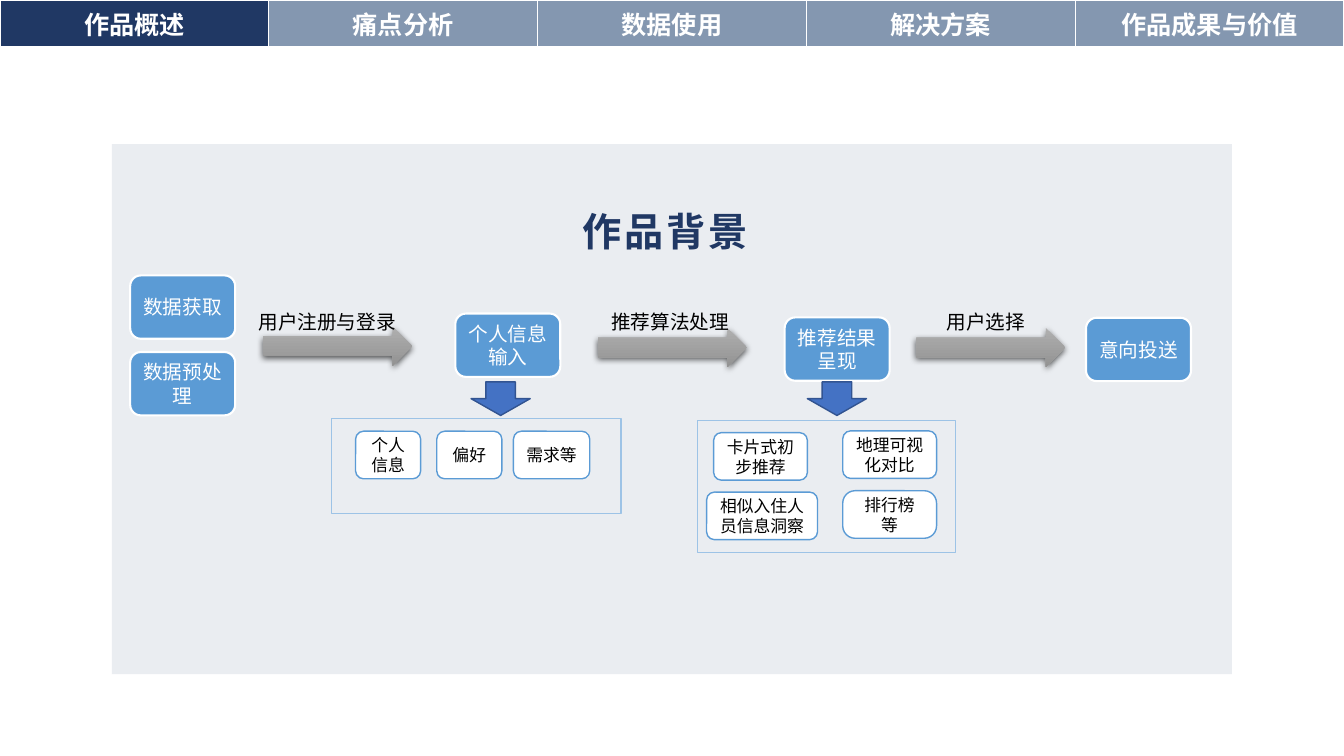
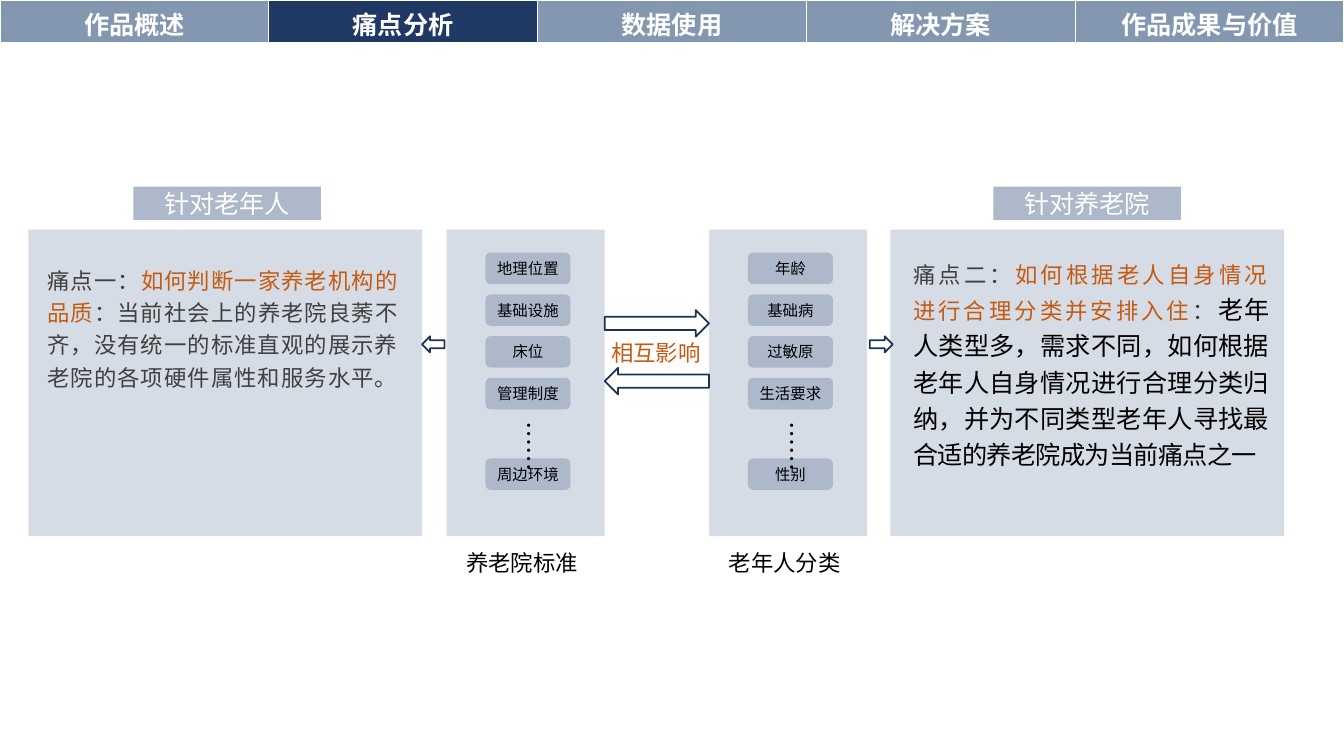
from lxml.etree import SubElement
from pptx import Presentation
from pptx.dml.color import RGBColor
from pptx.enum.shapes import MSO_SHAPE
from pptx.enum.text import MSO_ANCHOR, PP_ALIGN
from pptx.oxml.ns import qn
from pptx.util import Pt

FONT = "Noto Sans CJK SC"
COLORS = {name: RGBColor.from_string(value) for name, value in {
    "white": "FFFFFF", "black": "000000", "navy": "203864", "tab": "8497B0",
    "panel": "D6DCE5", "tag": "ADB9CA", "step": "5B9BD5", "frame": "9DC3E6",
    "down": "4472C4", "down_edge": "325491", "outline": "1E3256",
    "gray_top": "AFAFAF", "gray_bottom": "939393",
    "text": "404040", "accent": "C55A11",
}.items()}
SECTIONS = ["作品概述", "痛点分析", "数据使用", "解决方案", "作品成果与价值"]


def style_font(font, size, color, bold=False, spacing=0):
    """Format Latin and East Asian text alike; spacing is in points."""
    font.size = Pt(size)
    font.bold = bold
    font.color.rgb = COLORS[color]
    font.name = FONT
    SubElement(font._element, qn("a:ea"), typeface=FONT)
    if spacing:
        font._element.set("spc", str(round(spacing * 100)))


def add_block(page, kind, area, fill=None, line=None, weight=1, text=None,
              size=14, color="black", align=PP_ALIGN.CENTER, inset=7.2):
    """Add a preset shape, or a text box when kind is None."""
    lengths = [Pt(value) for value in area]
    if kind is None:
        block = page.shapes.add_textbox(*lengths)
    else:
        block = page.shapes.add_shape(kind, *lengths)
        block.shadow.inherit = False
        if fill:
            block.fill.solid()
            block.fill.fore_color.rgb = COLORS[fill]
        else:
            block.fill.background()
        if line:
            block.line.color.rgb = COLORS[line]
            block.line.width = Pt(weight)
        else:
            block.line.fill.background()
        block.text_frame.vertical_anchor = MSO_ANCHOR.MIDDLE
    frame = block.text_frame
    frame.word_wrap = True
    frame.margin_left = frame.margin_right = Pt(inset)
    if text:
        para = frame.paragraphs[0]
        para.text = text
        para.alignment = align
        style_font(para.font, size, color)
    return block


deck = Presentation()
deck.slide_width, deck.slide_height = Pt(960), Pt(540)
TITLE_ONLY, BLANK = deck.slide_layouts[5], deck.slide_layouts[6]
overview = deck.slides.add_slide(TITLE_ONLY)
problems = deck.slides.add_slide(BLANK)

# Navigation bar
for current, (page, height) in enumerate([(overview, 33.5), (problems, 30.25)]):
    table = page.shapes.add_table(1, len(SECTIONS), 0, 0, Pt(960), Pt(height)).table
    table.rows[0].height = Pt(height)
    for column, section in enumerate(SECTIONS):
        cell = table.cell(0, column)
        cell.text = section
        cell.margin_bottom = 0
        cell.fill.solid()
        cell.fill.fore_color.rgb = COLORS["navy" if column == current else "tab"]
        para = cell.text_frame.paragraphs[0]
        para.alignment = PP_ALIGN.CENTER
        style_font(para.font, 18, "white", bold=True)

# Overview: process flow
panel = add_block(overview, MSO_SHAPE.RECTANGLE, (80, 103, 800, 378.5), "panel")
panel_color = panel.fill._xPr.find(".//" + qn("a:srgbClr"))
SubElement(panel_color, qn("a:alpha"), val="50000")

title = overview.shapes.title
title.left, title.top, title.width, title.height = Pt(337), Pt(142.5), Pt(276), Pt(42)
frame = title.text_frame
frame.text = "作品背景"
frame.vertical_anchor = MSO_ANCHOR.BOTTOM
frame.margin_left = frame.margin_right = Pt(5)
frame.margin_top = frame.margin_bottom = Pt(2.5)
frame.paragraphs[0].alignment = PP_ALIGN.CENTER
style_font(frame.paragraphs[0].font, 28, "navy", bold=True, spacing=2)
# The panel lies behind the title
overview.shapes._spTree.insert(2, panel._element)

for area, line_width in [((498.25, 300.25, 184.5, 94), 0.5), ((237, 299, 206.5, 68), 1)]:
    add_block(overview, MSO_SHAPE.RECTANGLE, area, line="frame", weight=line_width)

for left, top in [(188, 233.25), (427, 234.25), (654.5, 234.25)]:
    arrow = add_block(overview, MSO_SHAPE.RIGHT_ARROW, (left, top, 106.5, 28), "gray_top")
    arrow.fill.gradient()
    arrow.fill.gradient_angle = 270
    for stop, color in zip(arrow.fill.gradient_stops, ["gray_top", "gray_bottom"]):
        stop.color.rgb = COLORS[color]
    effects = arrow._element.spPr.find(qn("a:effectLst"))
    shadow = SubElement(effects, qn("a:outerShdw"), blurRad=str(Pt(4.5)),
                        dist=str(Pt(1.5)), dir="5400000", algn="ctr", rotWithShape="0")
    shadow_color = SubElement(shadow, qn("a:srgbClr"), val="000000")
    SubElement(shadow_color, qn("a:alpha"), val="63000")

for left, width, text, align in [
    (157.5, 152.5, "用户注册与登录", PP_ALIGN.CENTER),
    (429.5, 123, "推荐算法处理", PP_ALIGN.LEFT),
    (669, 123, "用户选择", PP_ALIGN.LEFT),
]:
    add_block(overview, None, (left, 217.5, width, 24.5), text=text, align=align)

for left, top, text in [
    (93, 196.75, "数据获取"), (93, 251.5, "数据预处理"), (325.25, 224, "个人信息输入"),
    (560.5, 226.75, "推荐结果呈现"), (775.75, 227, "意向投送"),
]:
    add_block(overview, MSO_SHAPE.ROUNDED_RECTANGLE, (left, top, 75, 45.25),
              "step", "white", 1.5, text, 14, "white", inset=6)

for left, top, width, text in [
    (254, 308, 46.5, "个人信息"), (312, 308, 46.5, "偏好"), (366.75, 308, 54.5, "需求等"),
    (509.75, 309, 67, "卡片式初步推荐"), (602, 307.75, 67, "地理可视化对比"),
    (504.75, 351.5, 79.25, "相似入住人员信息洞察"), (602, 350.5, 67, "排行榜等"),
]:
    card = add_block(overview, MSO_SHAPE.ROUNDED_RECTANGLE, (left, top, width, 34),
                     "white", "step", 1, text, 12)
    if text == "排行榜等":
        card.adjustments[0] = 0.26

for left in (336.5, 576.75):
    add_block(overview, MSO_SHAPE.DOWN_ARROW, (left, 272.75, 42.25, 24),
              "down", "down_edge")

# Problems: two groups facing each other
for left, width in [(20.25, 281.25), (636, 281.25), (319, 113), (506.5, 113)]:
    add_block(problems, MSO_SHAPE.RECTANGLE, (left, 164, width, 219), "panel")

for left, heading in [(95.25, "针对老年人"), (709.5, "针对养老院")]:
    add_block(problems, MSO_SHAPE.RECTANGLE, (left, 133.25, 134, 24), "tag",
              text=heading, size=18, color="white")

for area, anchor, align, spans in [
    ((28.75, 83, 264, 300), MSO_ANCHOR.MIDDLE, PP_ALIGN.LEFT, [
        ("痛点一：", 16, "text", 0.8),
        ("如何判断一家养老机构的品质", 16, "accent", 0.8),
        ("：当前社会上的养老院良莠不齐，没有统一的标准直观的展示养老院的各项硬件属性和服务水平。",
         16, "text", 0.8),
    ]),
    ((647.25, 180.5, 264, 190), MSO_ANCHOR.TOP, PP_ALIGN.JUSTIFY, [
        ("痛点二：", 16, "text", 1),
        ("如何根据老人自身情况进行合理分类并安排入住", 16, "accent", 1),
        ("：", 16, "text", 1),
        ("老年人类型多，需求不同，如何根据老年人自身情况进行合理分类归纳，"
         "并为不同类型老年人寻找最合适的养老院成为当前痛点之一", 18, "black", -0.5),
    ]),
]:
    frame = add_block(problems, None, area, inset=5).text_frame
    frame.margin_top = frame.margin_bottom = Pt(2.5)
    frame.vertical_anchor = anchor
    para = frame.paragraphs[0]
    para.alignment = align
    para.line_spacing = 1.2
    for text, size, color, spacing in spans:
        span = para.add_run()
        span.text = text
        style_font(span.font, size, color, spacing=spacing)

TAG_TOPS = [180.5 + 29.8 * row for row in range(4)] + [327.5]
for left, caption, tags in [
    (319, "养老院标准", ["地理位置", "基础设施", "床位", "管理制度", "周边环境"]),
    (506.5, "老年人分类", ["年龄", "基础病", "过敏原", "生活要求", "性别"]),
]:
    for top, tag in zip(TAG_TOPS, tags):
        add_block(problems, MSO_SHAPE.ROUNDED_RECTANGLE, (left + 27.75, top, 60.75, 22.5),
                  "tag", text=tag, size=11, inset=6)
    add_block(problems, None, (left + 7, 388.75, 99, 26.5), text=caption, size=16,
              align=PP_ALIGN.LEFT)
    dots = add_block(problems, None, (left + 38, 293.75, 36, 57.5), text="……", size=18,
                     align=PP_ALIGN.LEFT)
    dots.text_frame._txBody.bodyPr.set("vert", "eaVert")

for kind, area in [
    (MSO_SHAPE.RIGHT_ARROW, (432, 221.5, 74.5, 19)),
    (MSO_SHAPE.LEFT_ARROW, (432, 262.75, 74.5, 19)),
    (MSO_SHAPE.LEFT_ARROW, (301.5, 240.25, 16, 11.5)),
    (MSO_SHAPE.RIGHT_ARROW, (621.25, 240.25, 16.5, 11.5)),
]:
    add_block(problems, kind, area, line="outline", weight=1.25)
add_block(problems, None, (429.5, 239, 86, 26.5), text="相互影响", size=16,
          color="accent", align=PP_ALIGN.LEFT)

deck.save("out.pptx")
